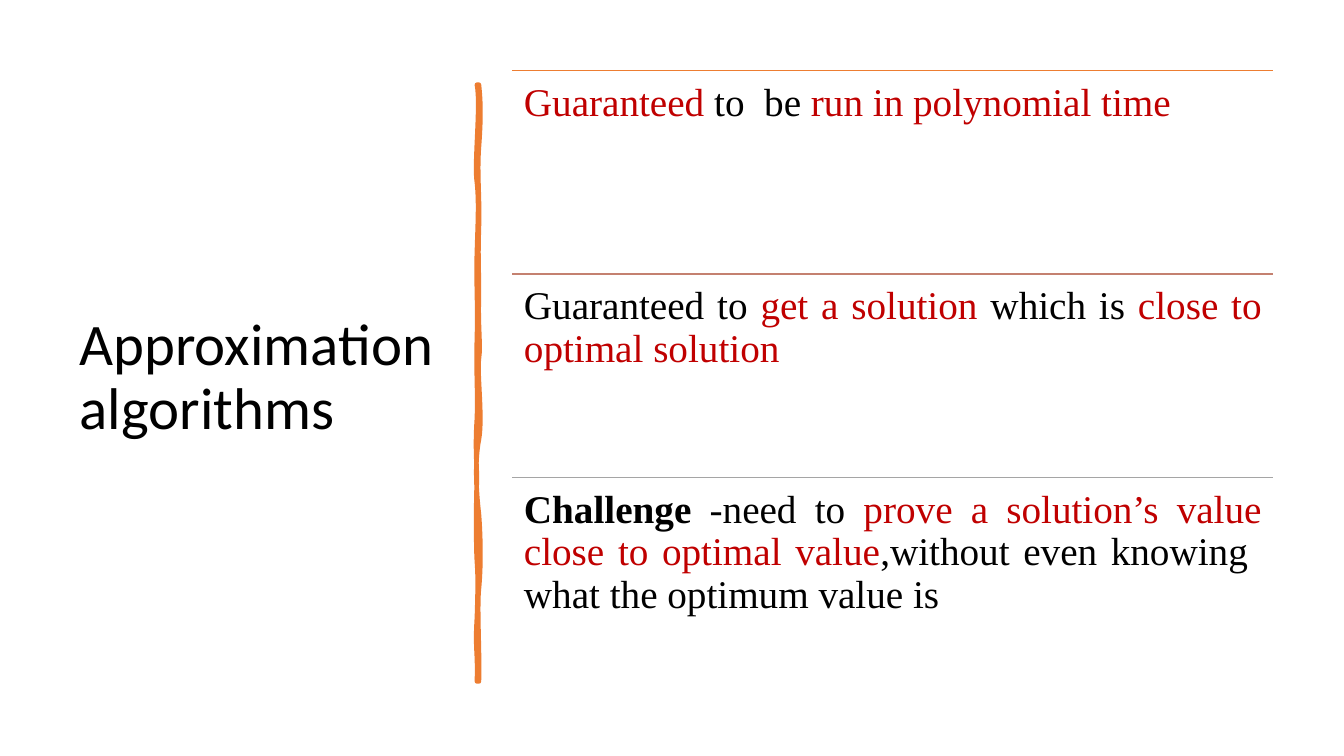
from dataclasses import dataclass

from lxml.etree import SubElement
from pptx import Presentation
from pptx.dml.color import RGBColor
from pptx.enum.shapes import MSO_CONNECTOR
from pptx.enum.text import MSO_ANCHOR, MSO_AUTO_SIZE, PP_ALIGN
from pptx.oxml.ns import qn
from pptx.slide import Slide
from pptx.util import Inches, Pt

COLORS = {
    "text": "000000",
    "emphasis": "C00000",
    "orange": "ED7D31",
    "copper": "C48170",
    "gray": "A5A5A5",
}
POINTS_LEFT, POINTS_TOP = 5.08, 0.7
POINTS_WIDTH, POINT_HEIGHT = 7.55, 2.02
POINT_SIZE = 28
POINT_MARGIN = Pt(0.3 * POINT_SIZE)
BRUSH_START = (4.75, 0.84)
BRUSH_CURVES = [
    ((4.77, 1.02), (4.77, 1.19), (4.75, 1.46)),
    ((4.73, 1.73), (4.76, 1.95), (4.75, 2.26)),
    ((4.74, 2.57), (4.75, 2.62), (4.75, 2.94)),
    ((4.74, 3.25), (4.77, 3.42), (4.75, 3.56)),
    ((4.73, 3.7), (4.79, 4.14), (4.75, 4.36)),
    ((4.71, 4.57), (4.72, 4.84), (4.75, 5.1)),
    ((4.77, 5.36), (4.77, 5.64), (4.75, 5.84)),
    ((4.73, 6.03), (4.76, 6.5), (4.75, 6.76)),
    ((4.74, 6.76), (4.73, 6.76), (4.73, 6.76)),
    ((4.74, 6.46), (4.71, 6.44), (4.73, 6.13)),
    ((4.74, 5.83), (4.74, 5.7), (4.73, 5.57)),
    ((4.72, 5.44), (4.72, 4.95), (4.73, 4.77)),
    ((4.73, 4.59), (4.71, 4.45), (4.73, 4.15)),
    ((4.74, 3.86), (4.72, 3.73), (4.73, 3.35)),
    ((4.74, 2.98), (4.72, 2.81), (4.73, 2.5)),
    ((4.74, 2.18), (4.75, 2), (4.73, 1.81)),
    ((4.7, 1.63), (4.77, 1.04), (4.73, 0.84)),
    ((4.74, 0.84), (4.74, 0.84), (4.75, 0.84)),
]


@dataclass
class Phrase:
    """A stretch of text with one look."""

    text: str
    color: str = "text"
    bold: bool = False


@dataclass
class Point:
    """A statement under a coloured rule."""

    rule_color: str
    phrases: list[Phrase]


POINTS = [
    Point("orange", [
        Phrase("Guaranteed", "emphasis"),
        Phrase(" to  be "),
        Phrase("run in polynomial time", "emphasis"),
    ]),
    Point("copper", [
        Phrase("Guaranteed to "),
        Phrase("get a solution ", "emphasis"),
        Phrase("which is "),
        Phrase("close to optimal solution", "emphasis"),
    ]),
    Point("gray", [
        Phrase("Challenge", bold=True),
        Phrase(" -need to "),
        Phrase("prove a solution’s value close to optimal value", "emphasis"),
        Phrase(",without even knowing  what the optimum value is"),
    ]),
]


def rgb(name: str) -> RGBColor:
    """Return the named colour."""
    return RGBColor.from_string(COLORS[name])


def write_title(slide: Slide) -> None:
    """Place and format the slide title."""
    title = slide.shapes.title
    title.left, title.top = Inches(0.69), Inches(0.7)
    title.width, title.height = Inches(3.74), Inches(6.11)
    frame = title.text_frame
    frame.text = "Approximation algorithms"
    frame.word_wrap = True
    frame.auto_size = MSO_AUTO_SIZE.NONE
    frame.vertical_anchor = MSO_ANCHOR.MIDDLE
    heading = frame.paragraphs[0]
    heading.alignment = PP_ALIGN.LEFT
    heading.line_spacing = 0.9
    font = heading.runs[0].font
    font.name, font.size = "Calibri", Pt(42)
    font.color.rgb = rgb("text")


def draw_brush_stroke(slide: Slide) -> None:
    """Draw the uneven vertical divider with curved edges."""
    x, y = BRUSH_START
    builder = slide.shapes.build_freeform(Inches(x), Inches(y))
    ends = [(Inches(x), Inches(y)) for _, _, (x, y) in BRUSH_CURVES]
    builder.add_line_segments(ends, close=True)
    stroke = builder.convert_to_shape()
    edges = list(stroke._element.iter(qn("a:lnTo")))
    for edge, curve in zip(edges, BRUSH_CURVES):
        edge.clear()
        edge.tag = qn("a:cubicBezTo")
        for x, y in curve:
            corner = SubElement(edge, qn("a:pt"))
            corner.set("x", str(Inches(x) - stroke.left))
            corner.set("y", str(Inches(y) - stroke.top))
    stroke.shadow.inherit = False
    stroke.fill.solid()
    stroke.fill.fore_color.rgb = rgb("orange")
    stroke.line.color.rgb = rgb("orange")
    stroke.line.width = Pt(3.25)
    SubElement(stroke.line._get_or_add_ln(), qn("a:round"))


def draw_point(slide: Slide, point: Point, top: float) -> None:
    """Draw a rule and the statement below it."""
    left, right = Inches(POINTS_LEFT), Inches(POINTS_LEFT + POINTS_WIDTH)
    rule = slide.shapes.add_connector(
        MSO_CONNECTOR.STRAIGHT, left, Inches(top), right, Inches(top)
    )
    rule.line.color.rgb = rgb(point.rule_color)
    rule.line.width = Pt(1)
    SubElement(rule._element.spPr, qn("a:effectLst"))

    statement = slide.shapes.add_textbox(
        left, Inches(top), Inches(POINTS_WIDTH), Inches(POINT_HEIGHT)
    )
    frame = statement.text_frame
    frame.word_wrap = True
    frame.margin_left = frame.margin_right = POINT_MARGIN
    frame.margin_top = frame.margin_bottom = POINT_MARGIN
    paragraph = frame.paragraphs[0]
    paragraph.alignment = PP_ALIGN.JUSTIFY
    paragraph.line_spacing = 0.9
    for phrase in point.phrases:
        run = paragraph.add_run()
        run.text = phrase.text
        run.font.name, run.font.size = "Times New Roman", Pt(POINT_SIZE)
        run.font.bold = phrase.bold
        run.font.color.rgb = rgb(phrase.color)


def main() -> None:
    """Build and save the slide."""
    deck = Presentation()
    deck.slide_width, deck.slide_height = Inches(13.33), Inches(7.5)
    slide = deck.slides.add_slide(deck.slide_layouts[5])
    write_title(slide)
    draw_brush_stroke(slide)
    for index, point in enumerate(POINTS):
        draw_point(slide, point, POINTS_TOP + index * POINT_HEIGHT)
    deck.save("out.pptx")


if __name__ == "__main__":
    main()
